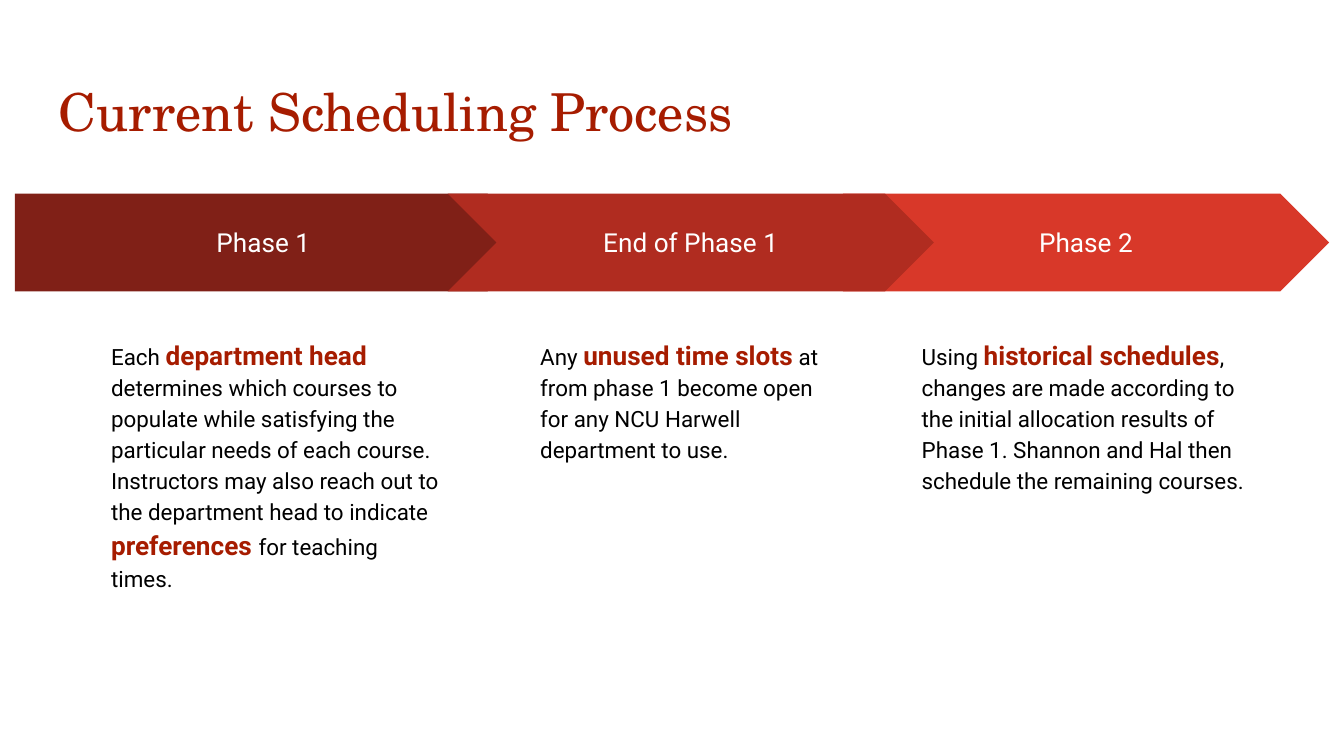
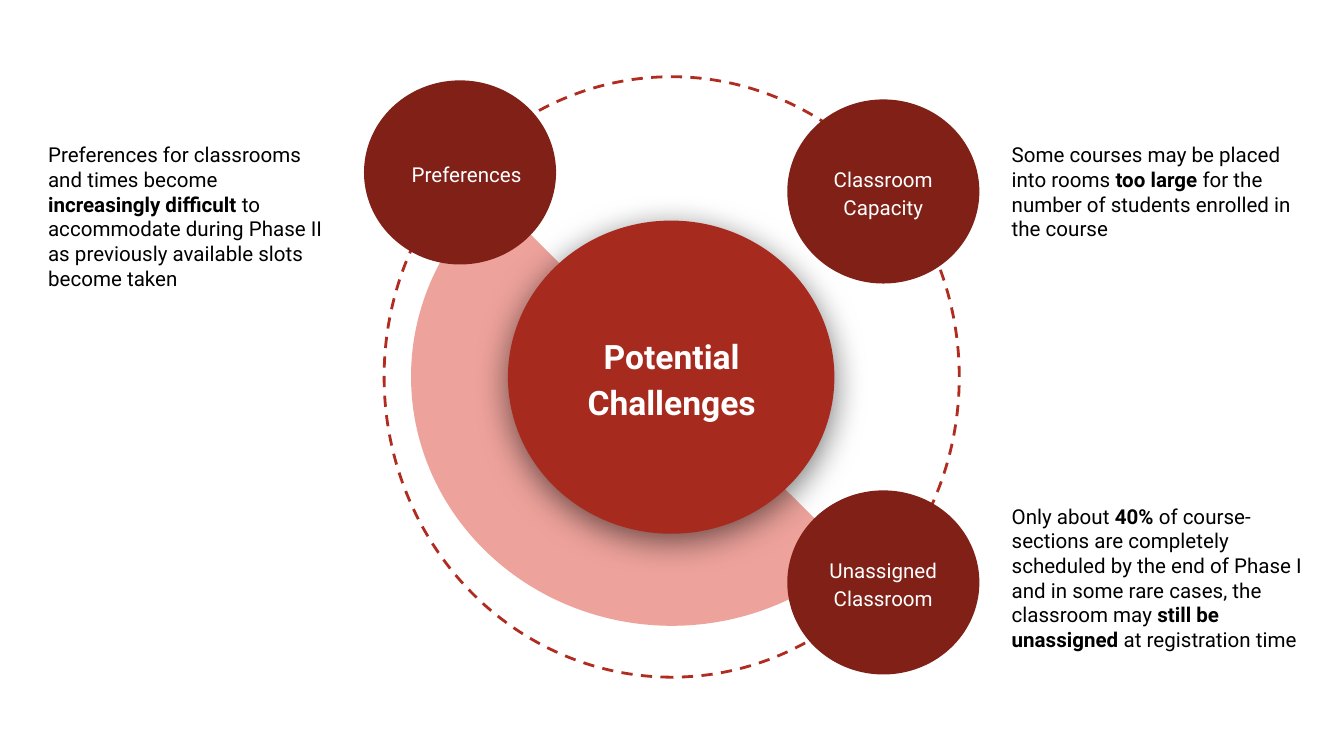
"""Build two slides on course scheduling: the current process and its potential challenges."""
from lxml import etree
from pptx import Presentation
from pptx.dml.color import RGBColor
from pptx.enum import dml, shapes, text
from pptx.oxml.ns import qn
from pptx.util import Cm, Pt

C = {
    "title": "A61C00", "white": "FFFFFF", "black": "000000",
    "dark": "802017", "mid": "B02C20", "bright": "D83829",
    "hub": "A72A1E", "pale": "EDA29B",
}
BODY, HEAD = "Roboto", "TeX Gyre Schola"
MSO = shapes.MSO_SHAPE
TOP, MIDDLE = text.MSO_ANCHOR.TOP, text.MSO_ANCHOR.MIDDLE
LEFT, CENTER = text.PP_ALIGN.LEFT, text.PP_ALIGN.CENTER


def write(sp, runs, anchor=TOP, align=LEFT, spacing=1.0, font=BODY):
    tf = sp.text_frame
    tf.word_wrap = True
    tf.vertical_anchor = anchor
    tf.margin_left = tf.margin_right = tf.margin_top = tf.margin_bottom = Cm(0.25)
    p = tf.paragraphs[0]
    p.alignment = align
    p.line_spacing = spacing
    for words, size, color, bold in runs:
        r = p.add_run()
        r.text = words
        r.font.name = font
        r.font.size = Pt(size)
        r.font.bold = bold
        r.font.color.rgb = RGBColor.from_string(C[color])


def shape(s, kind, x, y, w, h, fill=None):
    sp = s.shapes.add_shape(kind, Cm(x), Cm(y), Cm(w), Cm(h))
    sp.shadow.inherit = False
    sp.line.fill.background()
    if fill:
        sp.fill.solid()
        sp.fill.fore_color.rgb = RGBColor.from_string(C[fill])
    else:
        sp.fill.background()
    return sp


prs = Presentation()
prs.slide_width, prs.slide_height = Cm(25.4), Cm(14.29)
blank = prs.slide_layouts[6]

s = prs.slides.add_slide(blank)
title = s.shapes.add_textbox(Cm(0.86), Cm(1.24), Cm(23.67), Cm(1.6))
write(title, [("Current Scheduling Process", 28, "title", False)], font=HEAD)

phases = [
    ("Phase 2", MSO.CHEVRON, 15.93, 9.19, "bright", 17.17, 6.68, [
        ("Using ", False), ("historical schedules", True),
        (", changes are made according to the initial allocation results of Phase 1. "
         "Shannon and Hal then schedule the remaining courses.", False)]),
    ("Phase 1", MSO.PENTAGON, 0.28, 9.86, "dark", 1.85, 6.73, [
        ("Each ", False), ("department head", True),
        (" determines which courses to populate while satisfying the particular needs "
         "of each course. Instructors may also reach out to the department head "
         "to indicate ", False),
        ("preferences ", True), ("for teaching times.", False)]),
    ("End of Phase 1", MSO.CHEVRON, 8.46, 9.19, "mid", 9.96, 6.22, [
        ("Any ", False), ("unused time slots", True),
        (" at from phase 1 become open for any NCU Harwell department to use.", False)]),
]
for name, kind, x, w, fill, text_x, text_w, parts in phases:
    arrow = shape(s, kind, x, 3.66, w, 1.85, fill)
    arrow.adjustments[0] = 0.5
    write(arrow, [(name, 14, "white", False)], MIDDLE, CENTER)
    tb = s.shapes.add_textbox(Cm(text_x), Cm(6.07), Cm(text_w), Cm(7.26))
    runs = [(t, 14, "title", True) if key else (t, 12, "black", False) for t, key in parts]
    write(tb, runs, spacing=1.15)

s = prs.slides.add_slide(blank)
ring = shape(s, MSO.OVAL, 7.02, 1.69, 11.35, 10.87)
ring.rotation = 270
ring.line.color.rgb = RGBColor.from_string(C["mid"])
ring.line.width = Pt(1.5)
ring.line.dash_style = dml.MSO_LINE.DASH

pie = shape(s, MSO.PIE, 7.77, 2.41, 9.86, 9.42, "pale")
pie.adjustments[0] = 26.9
pie.adjustments[1] = 135.11

hub = shape(s, MSO.OVAL, 9.6, 4.17, 6.17, 5.92, "hub")
effects = hub._element.spPr.find(qn("a:effectLst"))
shadow = etree.SubElement(effects, qn("a:outerShdw"), blurRad=str(Pt(18)),
                          dist=str(Pt(4)), dir=str(90 * 60000), rotWithShape="0")
tint = etree.SubElement(shadow, qn("a:srgbClr"), val=C["black"])
etree.SubElement(tint, qn("a:alpha"), val="55000")
tb = s.shapes.add_textbox(Cm(10.41), Cm(5.77), Cm(4.57), Cm(2.69))
write(tb, [("Potential Challenges", 18, "white", True)], MIDDLE, CENTER, 1.15)

challenges = [("Preferences", 6.88, 1.52, 2.84),
              ("Unassigned Classroom", 14.88, 9.27, 2.59),
              ("Classroom Capacity", 14.88, 1.88, 2.59)]
for name, x, y, label_w in challenges:
    shape(s, MSO.OVAL, x, y, 3.63, 3.48, "dark")
    tb = s.shapes.add_textbox(Cm(x + 0.52), Cm(y + 0.55), Cm(label_w), Cm(2.39))
    write(tb, [(name, 11, "white", False)], MIDDLE, CENTER, 1.15)

details = [
    (0.66, 2.44, 5.87, 3.28, [
        ("Preferences for classrooms and times become ", False),
        ("increasingly difficult ", True),
        ("to accommodate during Phase II as previously available slots become taken", False)]),
    (18.87, 2.44, 5.87, 2.34, [
        ("Some courses may be placed into rooms ", False), ("too large ", True),
        ("for the number of students enrolled in the course", False)]),
    (18.87, 9.27, 6.17, 3.28, [
        ("Only about ", False), ("40% ", True),
        ("of course-sections are completely scheduled by the end of Phase I "
         "and in some rare cases, the classroom may ", False),
        ("still be unassigned ", True), ("at registration time", False)]),
]
for x, y, w, h, parts in details:
    tb = s.shapes.add_textbox(Cm(x), Cm(y), Cm(w), Cm(h))
    write(tb, [(t, 11, "black", bold) for t, bold in parts])

prs.save("out.pptx")
